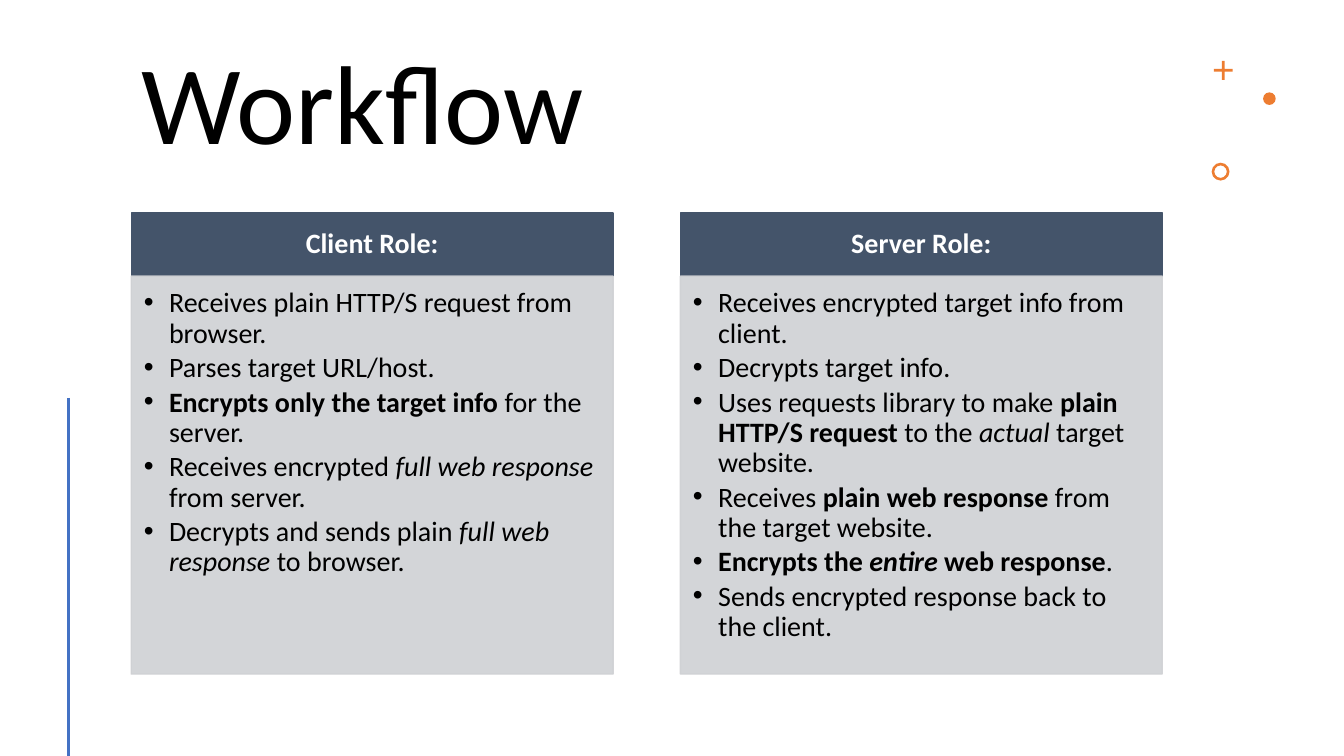
from lxml import etree
from pptx import Presentation
from pptx import util as u
from pptx.dml.color import RGBColor
from pptx.enum import shapes, text
from pptx.oxml.ns import qn

PX = 9525  # 96 px to the inch
ORANGE, BLUE, SLATE, GREY = "ED7D31", "4472C4", "44546A", "CFD1D4"
BLACK, WHITE = "000000", "FFFFFF"


def px(value):
    return u.Emu(value * PX)


def rgb(value):
    return RGBColor.from_string(value)


class SlideBuilder:
    font = "Calibri"
    body_size = 20

    def __init__(self, slide):
        self.slide = slide

    def style_run(self, run, size, color, bold=False, italic=False):
        font = run.font
        font.name, font.size = self.font, u.Pt(size)
        font.bold, font.italic = bold, italic
        font.color.rgb = rgb(color)

    def set_frame(self, shape, margins, anchor):
        frame = shape.text_frame
        frame.word_wrap = True
        frame.vertical_anchor = anchor
        (frame.margin_left, frame.margin_top,
         frame.margin_right, frame.margin_bottom) = map(px, margins)
        return frame

    def title(self, wording, left, top, width, height, size):
        title = self.slide.shapes.title
        title.left, title.top, title.width, title.height = map(
            px, (left, top, width, height))
        frame = self.set_frame(title, (10, 5, 10, 5), text.MSO_ANCHOR.MIDDLE)
        frame.auto_size = text.MSO_AUTO_SIZE.NONE
        frame.text = wording
        paragraph = frame.paragraphs[0]
        paragraph.alignment = text.PP_ALIGN.LEFT
        paragraph.line_spacing = 0.9
        self.style_run(paragraph.runs[0], size, BLACK)

    def shape(self, kind, left, top, width, height, color,
              outlined=False, opacity=100):
        shape = self.slide.shapes.add_shape(
            kind, px(left), px(top), px(width), px(height))
        shape.shadow.inherit = False
        shape.fill.solid()
        shape.fill.fore_color.rgb = rgb(color)
        if outlined:
            shape.line.color.rgb = rgb(color)
            shape.line.width = u.Pt(1)
        else:
            shape.line.fill.background()
        if opacity < 100:
            for tone in shape.element.spPr.iter(qn("a:srgbClr")):
                etree.SubElement(tone, qn("a:alpha"), val=str(opacity * 1000))
        return shape

    def line(self, x1, y1, x2, y2, color, width):
        line = self.slide.shapes.add_connector(
            shapes.MSO_CONNECTOR.STRAIGHT, px(x1), px(y1), px(x2), px(y2))
        line.line.color.rgb = rgb(color)
        line.line.width = u.Pt(width)
        etree.SubElement(line.element.spPr, qn("a:effectLst"))

    def header(self, wording, left, top, width, height):
        box = self.shape(shapes.MSO_SHAPE.RECTANGLE, left, top, width, height,
                         SLATE, outlined=True)
        frame = self.set_frame(box, (15, 9, 15, 9), text.MSO_ANCHOR.MIDDLE)
        frame.text = wording
        paragraph = frame.paragraphs[0]
        paragraph.alignment = text.PP_ALIGN.CENTER
        paragraph.line_spacing = 0.9
        self.style_run(paragraph.runs[0], self.body_size, WHITE, bold=True)

    def bullets(self, items, left, top, width, height):
        box = self.shape(shapes.MSO_SHAPE.RECTANGLE, left, top, width, height,
                         GREY, outlined=True, opacity=90)
        frame = self.set_frame(box, (12, 12, 15, 16), text.MSO_ANCHOR.TOP)
        for index, item in enumerate(items):
            paragraph = frame.add_paragraph() if index else frame.paragraphs[0]
            paragraph.level = 1
            paragraph.alignment = text.PP_ALIGN.LEFT
            paragraph.line_spacing = 0.9
            paragraph.space_after = u.Pt(3)
            properties = paragraph._p.get_or_add_pPr()
            properties.set("marL", str(px(24)))
            properties.set("indent", str(px(-24)))
            etree.SubElement(properties, qn("a:buFont"), typeface="Arial")
            etree.SubElement(properties, qn("a:buChar"), char="•")
            for wording, style in item:
                run = paragraph.add_run()
                run.text = wording
                self.style_run(run, self.body_size, BLACK,
                               "b" in style, "i" in style)


# Each bullet is a list of (wording, style): b for bold, i for italic
ROLES = [
    ("Client Role:", [
        [("Receives plain HTTP/S request from browser.", "")],
        [("Parses target URL/host.", "")],
        [("Encrypts only the target info", "b"), (" for the server.", "")],
        [("Receives encrypted ", ""), ("full web response", "i"),
         (" from server.", "")],
        [("Decrypts and sends plain ", ""), ("full web response", "i"),
         (" to browser.", "")],
    ]),
    ("Server Role:", [
        [("Receives encrypted target info from client.", "")],
        [("Decrypts target info.", "")],
        [("Uses requests library to make ", ""), ("plain HTTP/S request", "b"),
         (" to the ", ""), ("actual", "i"), (" target website.", "")],
        [("Receives ", ""), ("plain web response", "b"),
         (" from the target website.", "")],
        [("Encrypts the ", "b"), ("entire", "bi"), (" web response", "b"),
         (".", "")],
        [("Sends encrypted response back to the client.", "")],
    ]),
]


def main():
    presentation = Presentation()
    presentation.slide_width, presentation.slide_height = px(1280), px(720)
    slide = presentation.slides.add_slide(presentation.slide_layouts[5])
    builder = SlideBuilder(slide)

    # Title
    builder.title("Workflow", 125, 40, 982, 126, 80)

    # Corner ornaments and side line
    plus = builder.shape(shapes.MSO_SHAPE.CROSS, 1156, 58, 18, 18, ORANGE)
    plus.adjustments[0] = 0.43
    builder.shape(shapes.MSO_SHAPE.OVAL, 1203, 88, 12, 12, ORANGE)
    ring = builder.shape(shapes.MSO_SHAPE.DONUT, 1154, 155, 17, 17, ORANGE)
    ring.adjustments[0] = 0.15
    builder.line(65, 379, 65, 720, BLUE, 2)

    # Role columns
    left, top, width, pitch, header_height = 125, 203, 459, 523, 60
    for column, (heading, items) in enumerate(ROLES):
        x = left + column * pitch
        builder.header(heading, x, top, width, header_height)
        builder.bullets(items, x, top + header_height, width, 379)

    presentation.save("out.pptx")


if __name__ == "__main__":
    main()
